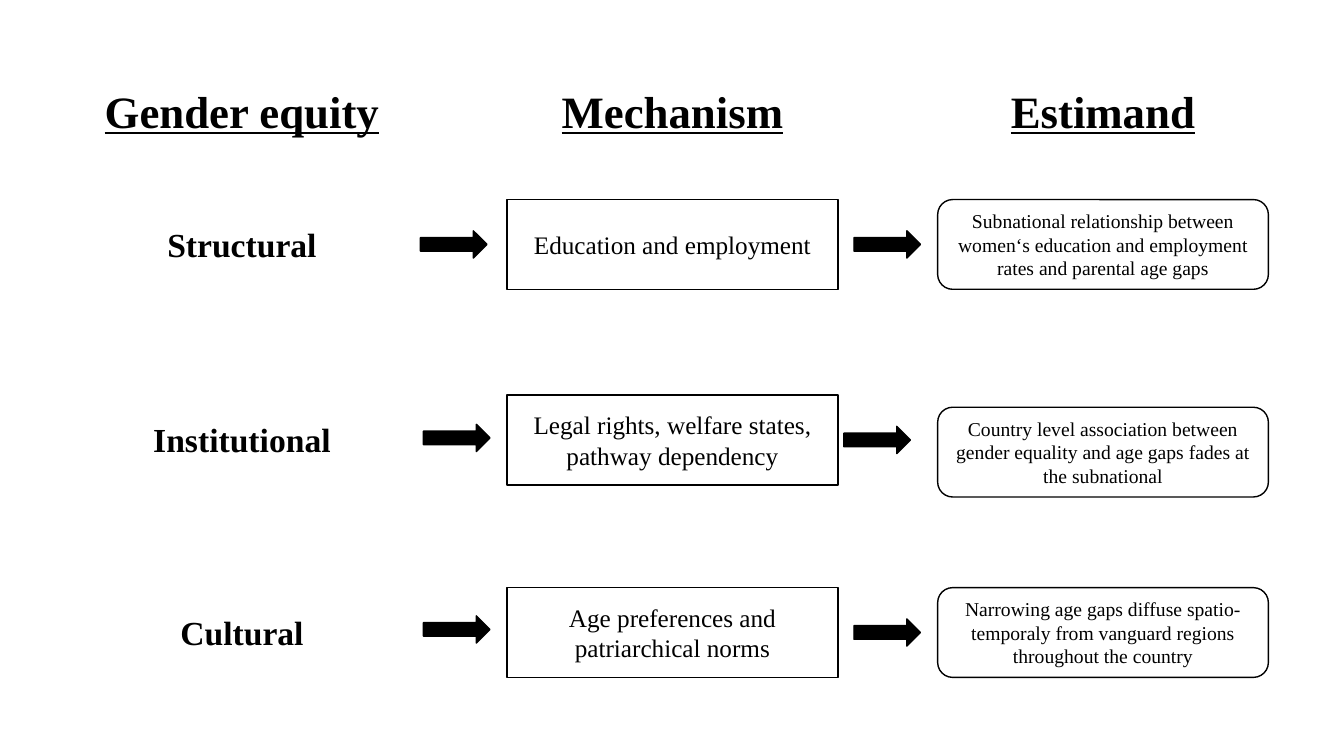
from pptx import Presentation
from pptx.dml.color import RGBColor
from pptx.enum import shapes, text
from pptx.util import Inches, Pt

COLORS = {"ink": "000000", "paper": "FFFFFF"}
FONT = "Times New Roman"
SHAPE = shapes.MSO_SHAPE

# Grid: three equal columns, box and arrow sizes
LEFT, PITCH, BOX_W, BOX_H = 0.76, 4.27, 3.28, 0.89
ARROW_W, ARROW_H = 0.66, 0.27
HEADING_TOP, HEADING_H = 0.78, 0.64

# Heading, heading width, shape, outline, text size and bold for each column
COLUMNS = [
    ("Gender equity", 3.28, SHAPE.ROUNDED_RECTANGLE, "paper", 24, True),
    ("Mechanism", 2.52, SHAPE.FLOWCHART_PROCESS, "ink", 18, False),
    ("Estimand", 2.52, SHAPE.FLOWCHART_ALTERNATE_PROCESS, "ink", 14, False),
]

# Texts with box tops, then the left and top of each arrow
ROWS = [
    ([("Structural", 1.98),
      ("Education and employment", 1.98),
      ("Subnational relationship between women‘s education and employment "
       "rates and parental age gaps", 1.98)],
     [(4.17, 2.29), (8.47, 2.29)]),
    ([("Institutional", 3.91),
      ("Legal rights, welfare states, pathway dependency", 3.92),
      ("Country level association between gender equality and age gaps "
       "fades at the subnational", 4.04)],
     [(4.2, 4.21), (8.37, 4.23)]),
    ([("Cultural", 5.83),
      ("Age preferences and patriarchical norms", 5.83),
      ("Narrowing age gaps diffuse spatio-temporaly from vanguard regions "
       "throughout the country", 5.83)],
     [(4.2, 6.11), (8.47, 6.14)]),
]


def add_box(s, kind, box, fill, line, width=1):
    sp = s.shapes.add_shape(kind, *(Inches(v) for v in box))
    sp.shadow.inherit = False
    sp.fill.solid()
    sp.fill.fore_color.rgb = RGBColor.from_string(COLORS[fill])
    sp.line.color.rgb = RGBColor.from_string(COLORS[line])
    sp.line.width = Pt(width)
    return sp


def set_text(sp, words, size, bold=False, underline=False):
    tf = sp.text_frame
    tf.word_wrap = True
    tf.vertical_anchor = text.MSO_ANCHOR.MIDDLE
    tf.text = words
    p = tf.paragraphs[0]
    p.alignment = text.PP_ALIGN.CENTER
    font = p.runs[0].font
    font.name, font.size = FONT, Pt(size)
    font.bold, font.underline = bold, underline
    font.color.rgb = RGBColor.from_string(COLORS["ink"])


def add_heading(s, left, top, words, width):
    # Centred over its column
    box = (left + (BOX_W - width) / 2, top, width, HEADING_H)
    sp = add_box(s, SHAPE.RECTANGLE, box, "paper", "paper", 0.75)
    sp.fill.background()
    set_text(sp, words, 32, bold=True, underline=True)
    sp.text_frame.vertical_anchor = text.MSO_ANCHOR.TOP


def add_row(s, left, cells, arrows):
    for i, (words, top) in enumerate(cells):
        kind, line, size, bold = COLUMNS[i][2:]
        box = (left + i * PITCH, top, BOX_W, BOX_H)
        set_text(add_box(s, kind, box, "paper", line), words, size, bold)
    for x, y in arrows:
        add_box(s, SHAPE.RIGHT_ARROW, (x, y, ARROW_W, ARROW_H), "ink", "ink")


def main():
    prs = Presentation()
    prs.slide_width, prs.slide_height = Inches(13.33), Inches(7.5)
    s = prs.slides.add_slide(prs.slide_layouts[6])

    # Column headings
    for i, column in enumerate(COLUMNS):
        add_heading(s, LEFT + i * PITCH, HEADING_TOP, *column[:2])

    # Rows from dimension to mechanism to estimand
    for cells, arrows in ROWS:
        add_row(s, LEFT, cells, arrows)

    prs.save("out.pptx")


if __name__ == "__main__":
    main()
